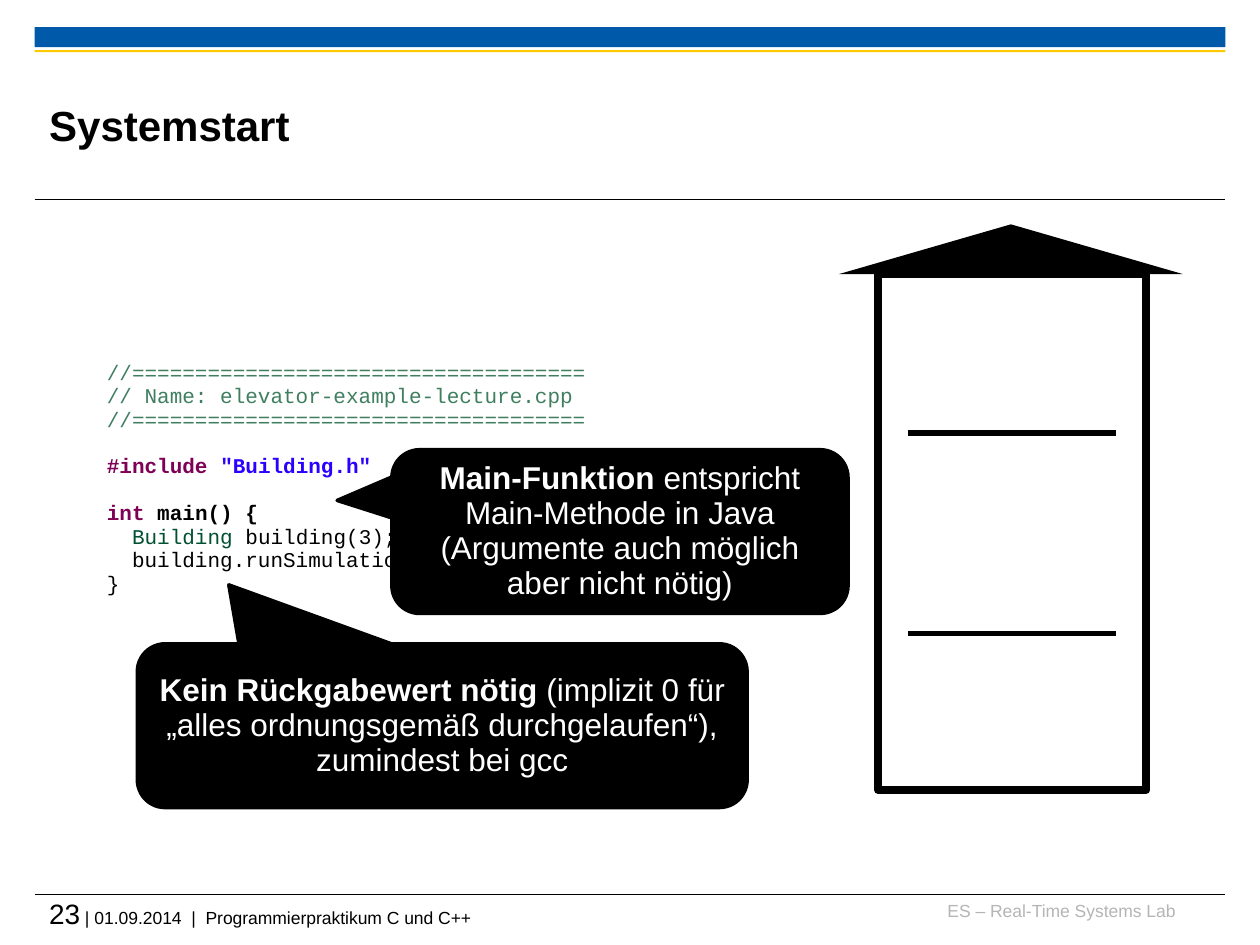
from dataclasses import dataclass

from lxml import etree
from pptx import Presentation
from pptx.dml.color import RGBColor
from pptx.enum.shapes import MSO_CONNECTOR, MSO_SHAPE
from pptx.enum.text import MSO_ANCHOR, MSO_AUTO_SIZE, PP_ALIGN
from pptx.oxml.ns import qn
from pptx.util import Pt

RECTANGLE, TRIANGLE = MSO_SHAPE.RECTANGLE, MSO_SHAPE.ISOSCELES_TRIANGLE
HOUSE_BODY, CALLOUT = MSO_SHAPE.ROUNDED_RECTANGLE, MSO_SHAPE.ROUNDED_RECTANGULAR_CALLOUT
STRAIGHT = MSO_CONNECTOR.STRAIGHT
LEFT, CENTER, RIGHT = PP_ALIGN.LEFT, PP_ALIGN.CENTER, PP_ALIGN.RIGHT
TOP, MIDDLE = MSO_ANCHOR.TOP, MSO_ANCHOR.MIDDLE
NO_AUTO_SIZE = MSO_AUTO_SIZE.NONE


@dataclass(frozen=True)
class Theme:
    sans: str = "Arial"
    mono: str = "Courier New"
    black: str = "000000"
    white: str = "FFFFFF"
    blue: str = "005AA9"
    yellow: str = "FDCA00"
    grey: str = "B5B5B5"
    comment: str = "3F7F5F"
    keyword: str = "7F0055"
    string: str = "2A00FF"
    type_name: str = "005032"
    title_size: float = 24
    callout_size: float = 18
    number_size: float = 16
    code_size: float = 12
    footer_size: float = 10
    line_spacing: float = 0.93
    code_gap: float = 13.4


THEME = Theme()


@dataclass(frozen=True)
class Box:
    left: float
    top: float
    width: float
    height: float

    def lengths(self) -> tuple:
        return Pt(self.left), Pt(self.top), Pt(self.width), Pt(self.height)


@dataclass(frozen=True)
class Run:
    text: str
    color: str = THEME.black
    size: float = THEME.code_size
    bold: bool = False
    font: str = THEME.sans


@dataclass(frozen=True)
class Line:
    left: float
    right: float
    y: float
    weight: float


@dataclass(frozen=True)
class Callout:
    box: Box
    tail: tuple
    lead: str
    rest: str


def code(text: str, color: str = THEME.black, bold: bool = False) -> Run:
    return Run(text, color, THEME.code_size, bold, THEME.mono)


def set_format(target, values: dict) -> None:
    for name, value in values.items():
        setattr(target, name, value)


def format_frame(frame, inset: tuple, anchor) -> None:
    horizontal, vertical = (Pt(value) for value in inset)
    set_format(frame, {
        "word_wrap": True, "auto_size": NO_AUTO_SIZE, "vertical_anchor": anchor,
        "margin_left": horizontal, "margin_right": horizontal,
        "margin_top": vertical, "margin_bottom": vertical})


def write_runs(paragraph, runs: list, alignment=LEFT, spacing: float = 1.0) -> None:
    set_format(paragraph, {"alignment": alignment, "line_spacing": spacing})
    for item in runs:
        run = paragraph.add_run()
        run.text = item.text
        set_format(run.font, {"name": item.font, "size": Pt(item.size), "bold": item.bold})
        run.font.color.rgb = RGBColor.from_string(item.color)


def add_text(slide, box: Box, runs: list, alignment=LEFT) -> None:
    frame = slide.shapes.add_textbox(*box.lengths()).text_frame
    format_frame(frame, (0, 0), TOP)
    write_runs(frame.paragraphs[0], runs, alignment)


def add_filled(slide, kind, box: Box, fill: str, weight: float = 0):
    shape = slide.shapes.add_shape(kind, *box.lengths())
    shape.shadow.inherit = False
    shape.fill.solid()
    shape.fill.fore_color.rgb = RGBColor.from_string(fill)
    if weight:
        shape.line.color.rgb = RGBColor.from_string(THEME.black)
        shape.line.width = Pt(weight)
    else:
        shape.line.fill.background()
    return shape


def add_line(slide, line: Line) -> None:
    connector = slide.shapes.add_connector(
        STRAIGHT, Pt(line.left), Pt(line.y), Pt(line.right), Pt(line.y))
    connector.line.color.rgb = RGBColor.from_string(THEME.black)
    connector.line.width = Pt(line.weight)
    etree.SubElement(connector.element.spPr, qn("a:effectLst"))


def add_callout(slide, callout: Callout) -> None:
    shape = add_filled(slide, CALLOUT, callout.box, THEME.black, 2)
    for index, value in enumerate((*callout.tail, 0.17)):
        shape.adjustments[index] = value
    format_frame(shape.text_frame, (7.2, 3.6), MIDDLE)
    write_runs(shape.text_frame.paragraphs[0], [
        Run(callout.lead, THEME.white, THEME.callout_size, True),
        Run(callout.rest, THEME.white, THEME.callout_size)], CENTER, THEME.line_spacing)


def add_code(slide, box: Box, blocks: list) -> None:
    frame = slide.shapes.add_textbox(*box.lengths()).text_frame
    format_frame(frame, (7.2, 3.6), TOP)
    for block_index, block in enumerate(blocks):
        for line_index, runs in enumerate(block):
            first = block_index == line_index == 0
            paragraph = frame.paragraphs[0] if first else frame.add_paragraph()
            if block_index and not line_index:
                paragraph.space_before = Pt(THEME.code_gap)
            write_runs(paragraph, runs, spacing=THEME.line_spacing)


RULE = "//" + "=" * 36
CODE_BLOCKS = [
    [[code(text, THEME.comment)]
     for text in (RULE, "// Name: elevator-example-lecture.cpp", RULE)],
    [[code("#include ", THEME.keyword, True), code('"Building.h"', THEME.string, True)]],
    [[code("int", THEME.keyword, True), code(" main() {", bold=True)],
     [code("  Building", THEME.type_name), code(" building(3);")],
     [code("  building.runSimulation();")],
     [code("}")]],
]
CALLOUTS = [
    Callout(Box(223.9, 257, 260.7, 93.6), (-0.62, -0.19), "Main-Funktion",
            " entspricht Main-Methode in Java (Argumente auch möglich aber nicht nötig)"),
    Callout(Box(78.5, 367.9, 348.5, 93.6), (-0.35, -0.86), "Kein Rückgabewert nötig",
            " (implizit 0 für „alles ordnungsgemäß durchgelaufen“), zumindest bei gcc"),
]


def main() -> None:
    presentation = Presentation()
    presentation.slide_width, presentation.slide_height = Pt(720), Pt(540)
    slide = presentation.slides.add_slide(presentation.slide_layouts[5])

    # Header bars, dividers and footer
    add_filled(slide, RECTANGLE, Box(19.8, 15.5, 680.4, 11.5), THEME.blue)
    add_filled(slide, RECTANGLE, Box(19.8, 28.6, 680.4, 1.3), THEME.yellow)
    for y in (114.2, 511):
        add_line(slide, Line(19.8, 700.2, y, 0.6))
    add_text(slide, Box(529.9, 514.1, 141.8, 18),
             [Run("ES – Real-Time Systems Lab", THEME.grey, THEME.footer_size)], RIGHT)
    add_text(slide, Box(28.1, 512.6, 671.8, 23.8), [
        Run("23", size=THEME.number_size),
        Run(" | 01.09.2014  |  Programmierpraktikum C und C++", size=THEME.footer_size)])

    # Title
    title = slide.shapes.title
    title.left, title.top, title.width, title.height = Box(28.1, 38.2, 541.4, 66.2).lengths()
    format_frame(title.text_frame, (0, 0), MIDDLE)
    write_runs(title.text_frame.paragraphs[0],
               [Run("Systemstart", size=THEME.title_size, bold=True)])

    # Source code
    add_code(slide, Box(54, 203, 360, 142.6), CODE_BLOCKS)

    # Building with floors
    building = add_filled(slide, HOUSE_BODY, Box(501.8, 156.8, 153.2, 294.6), THEME.white, 4.5)
    building.adjustments[0] = 0
    for y in (362, 247.4):
        add_line(slide, Line(518.7, 637.9, y, 3))

    # Explanations and roof
    for callout in CALLOUTS:
        add_callout(slide, callout)
    add_filled(slide, TRIANGLE, Box(479.5, 128.2, 196.3, 28.4), THEME.black)

    presentation.save("out.pptx")


if __name__ == "__main__":
    main()
